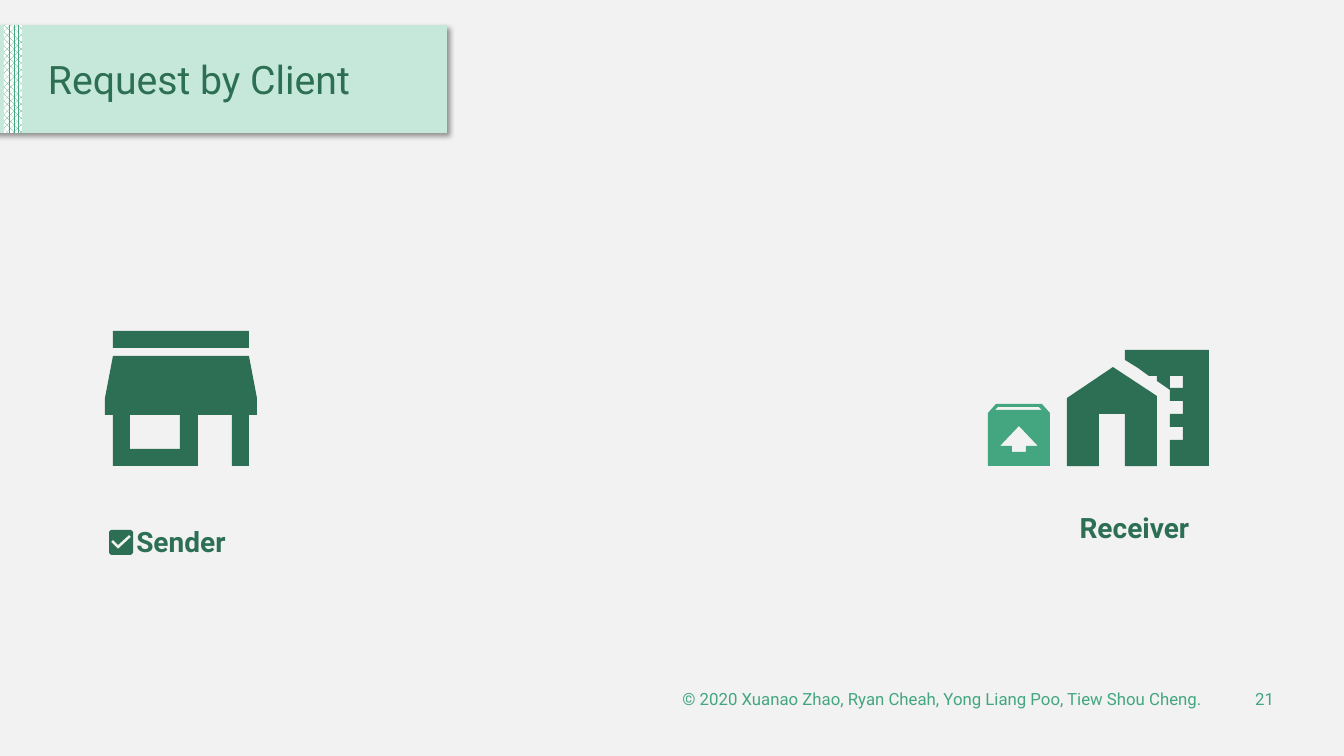
from lxml import etree
from pptx import Presentation
from pptx.dml.color import RGBColor
from pptx.enum.dml import MSO_PATTERN
from pptx.enum.shapes import MSO_SHAPE
from pptx.enum.text import MSO_ANCHOR as Anchor, PP_ALIGN as Align
from pptx.oxml.ns import qn

PX = 914400 / 100.8
FONT = "Roboto"
DARK, GREEN, MINT, GREY = "2D6F55", "43A680", "C6E8DB", "F2F2F2"

ROOF = [(249, 331), (113, 331), (113, 348), (249, 348)]
SHOP = [(257, 415), (257, 398), (249, 356), (113, 356), (105, 398), (105, 415),
        (113, 415), (113, 466), (198, 466), (198, 415), (232, 415), (232, 466),
        (249, 466), (249, 415)]
PANE = [(180, 449), (130, 449), (130, 415), (180, 415)]

HOUSE = [(1113, 367), (1067, 398), (1067, 466), (1099, 466), (1099, 414),
         (1125, 414), (1125, 466), (1157, 466), (1157, 396)]
TOWER = [(1125, 350), (1125, 360), (1138, 368), (1149, 376), (1157, 376),
         (1157, 381), (1170, 390), (1170, 401), (1183, 401), (1183, 414),
         (1170, 414), (1170, 427), (1183, 427), (1183, 440), (1170, 440),
         (1170, 466), (1209, 466), (1209, 350)]
LIGHT = [(1183, 388), (1170, 388), (1170, 376), (1183, 376)]

CRATE = [(1042, 404), (996, 404), (988, 413), (988, 466), (1050, 466), (1050, 413)]
ARROW = [(1026, 446), (1026, 452), (1012, 452), (1012, 446), (1000, 446),
         (1019, 426), (1038, 446)]
LID = [(995, 410), (998, 407), (1039, 407), (1042, 410)]

CHECK = [(131, 530), (111, 530), (109, 532), (109, 553), (111, 555),
         (131, 555), (133, 553), (133, 532)]
TICK = [(118, 549), (111, 542), (113, 540), (118, 545), (129, 535), (131, 537)]


def emu(*sizes):
    return [round(size * PX) for size in sizes]


def color(code):
    return RGBColor.from_string(code)


def paint(shape, code):
    shape.fill.solid()
    shape.fill.fore_color.rgb = color(code)
    shape.line.fill.background()
    shape.shadow.inherit = False


def add_box(slide, box, code):
    shape = slide.shapes.add_shape(MSO_SHAPE.RECTANGLE, *emu(*box))
    paint(shape, code)
    return shape


def add_shade(shape):
    """Cast a soft shadow to the lower right."""
    effects = shape._element.spPr.find(qn("a:effectLst"))
    shade = etree.SubElement(effects, qn("a:outerShdw"), blurRad="50800",
                             dist="38100", dir="2700000", algn="tl", rotWithShape="0")
    tone = etree.SubElement(shade, qn("a:srgbClr"), val="000000")
    etree.SubElement(tone, qn("a:alpha"), val="40000")


def add_icon(slide, code, *loops):
    """Draw closed outlines as one shape; inner loops become holes."""
    pen = slide.shapes.build_freeform(*loops[0][0], scale=PX)
    for loop in loops:
        if loop is not loops[0]:
            pen.move_to(*loop[0])
        pen.add_line_segments(loop[1:], close=True)
    paint(pen.convert_to_shape(), code)


def add_text(slide, box, text, size, code, align=Align.LEFT,
             anchor=Anchor.MIDDLE, bold=False):
    frame = slide.shapes.add_textbox(*emu(*box)).text_frame
    frame.word_wrap = True
    frame.vertical_anchor = anchor
    frame.text = text
    line = frame.paragraphs[0]
    line.alignment = align
    font = line.runs[0].font
    font.name, font.bold = FONT, bold
    font.size = size * 12700
    font.color.rgb = color(code)
    return line


def add_banner(slide):
    add_shade(add_box(slide, (-21, 25, 468, 108), MINT))
    strip = add_box(slide, (4, 25, 18, 108), GREEN)
    strip.fill.patterned()
    strip.fill.pattern = MSO_PATTERN.PERCENT_70
    strip.fill.fore_color.rgb = color(GREEN)
    strip.fill.back_color.rgb = color("FFFFFF")
    title = add_text(slide, (38, 41, 399, 82), "Request by Client", 28, DARK)
    title.line_spacing = 0.9


def add_label(slide, left, top, text):
    add_text(slide, (left, top, 204, 44), text, 20, DARK,
             Align.CENTER, Anchor.TOP, True)


def add_footer(slide):
    credit = "© 2020 Xuanao Zhao, Ryan Cheah, Yong Liang Poo, Tiew Shou Cheng."
    for left, width, text in ((548, 664, credit), (1225, 59, "21")):
        add_text(slide, (left, 679, width, 40), text, 12, GREEN, Align.RIGHT)


def main():
    deck = Presentation()
    deck.slide_width, deck.slide_height = emu(1344, 756)
    slide = deck.slides.add_slide(deck.slide_layouts[6])
    back = slide.background.fill
    back.solid()
    back.fore_color.rgb = color(GREY)

    add_banner(slide)
    add_footer(slide)
    add_icon(slide, DARK, ROOF, SHOP, PANE)
    add_label(slide, 79, 520, "Sender")
    add_icon(slide, DARK, HOUSE)
    add_icon(slide, DARK, TOWER, LIGHT)
    add_label(slide, 1036, 506, "Receiver ")
    add_icon(slide, GREEN, CRATE, ARROW, LID)
    add_icon(slide, DARK, CHECK, TICK)
    deck.save("out.pptx")


if __name__ == "__main__":
    main()
